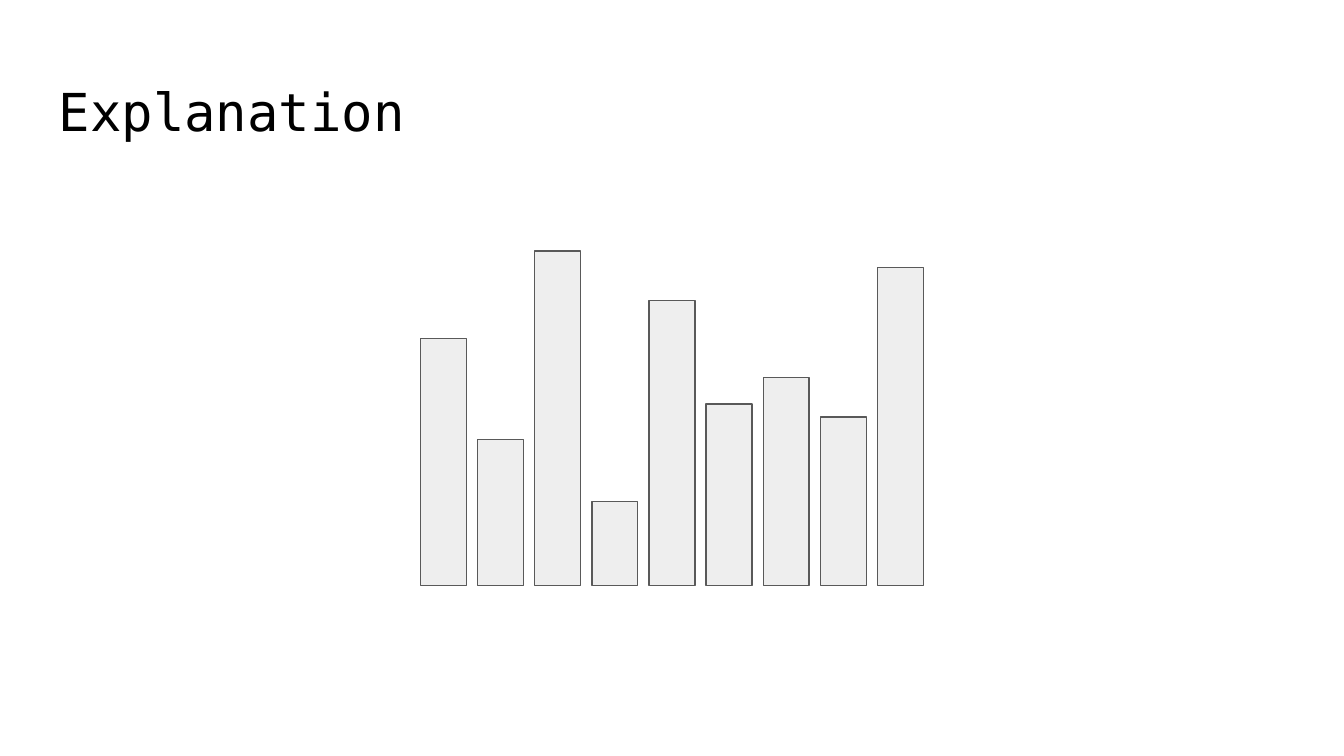
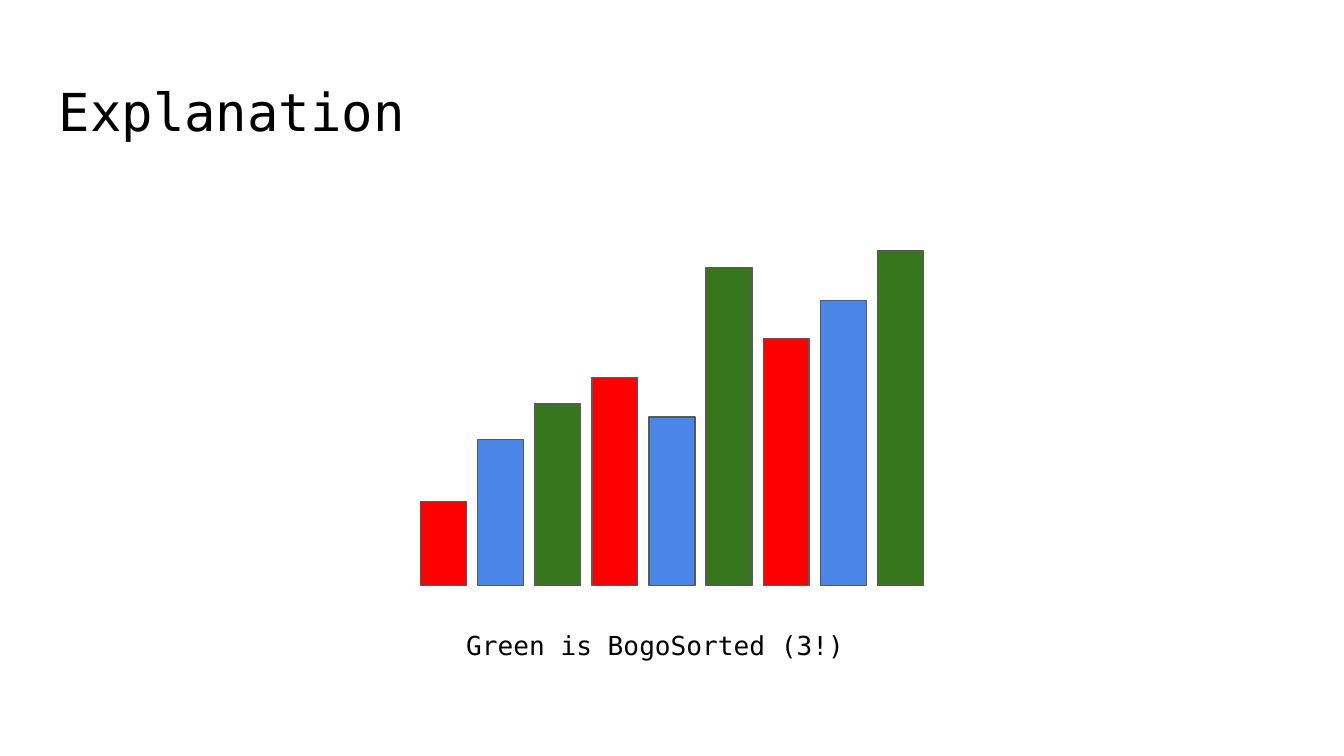
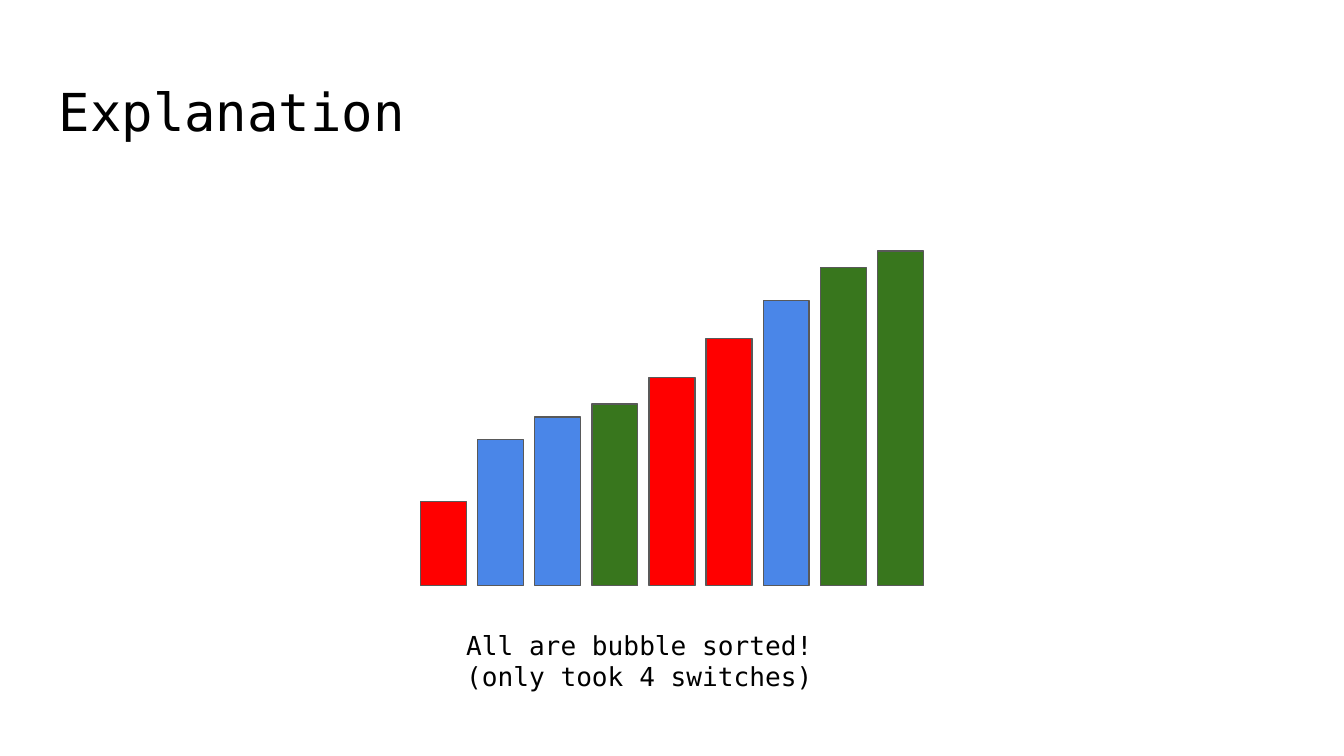
from pptx import Presentation
from pptx.dml.color import RGBColor
from pptx.enum.shapes import MSO_SHAPE
from pptx.enum.text import MSO_ANCHOR
from pptx.util import Pt

FONT = "DejaVu Sans Mono"
COLORS = {
    "text": "000000",
    "outline": "595959",
    "gray": "EEEEEE",
    "red": "FF0000",
    "blue": "4A86E8",
    "green": "38761D",
}

# Bar heights in points, from the shortest to the tallest value
HEIGHTS = [45.2, 78.3, 90.5, 97.4, 111.6, 132.3, 152.9, 170.4, 179.2]
# Group colour of each value once the groups are formed
GROUPS = ["red", "blue", "blue", "green", "red", "red", "blue", "green", "green"]

# Each order lists the rank of the value standing at each position
SLIDES = [
    {"order": [5, 1, 8, 0, 6, 3, 4, 2, 7], "grouped": False, "caption": None},
    {"order": [0, 1, 3, 4, 2, 7, 5, 6, 8], "grouped": True,
     "caption": "Green is BogoSorted (3!)"},
    {"order": [0, 1, 2, 3, 4, 5, 6, 7, 8], "grouped": True,
     "caption": "All are bubble sorted! (only took 4 switches)"},
]

TITLE = "Explanation"
TITLE_BOX = (24.5, 35.3, 671, 45.4)
CAPTION_BOX = (242.6, 329.8, 234, 36)
BARS_LEFT, BARS_BOTTOM = 225.3, 313.8
BAR_WIDTH, BAR_PITCH = 24.6, 30.6


def color(name):
    """Return the named colour."""
    return RGBColor.from_string(COLORS[name])


def add_text(slide, text, box, size):
    """Add a wrapped, top-anchored text box."""
    frame = slide.shapes.add_textbox(*map(Pt, box)).text_frame
    frame.word_wrap = True
    frame.vertical_anchor = MSO_ANCHOR.TOP
    frame.margin_left = frame.margin_right = Pt(7.2)
    frame.margin_top = frame.margin_bottom = Pt(7.2)
    paragraph = frame.paragraphs[0]
    paragraph.text = text
    paragraph.font.name = FONT
    paragraph.font.size = Pt(size)
    paragraph.font.color.rgb = color("text")


def add_bar(slide, position, height, fill):
    """Add one bar standing on the common base line."""
    bar = slide.shapes.add_shape(
        MSO_SHAPE.RECTANGLE,
        Pt(BARS_LEFT + position * BAR_PITCH), Pt(BARS_BOTTOM - height),
        Pt(BAR_WIDTH), Pt(height))
    bar.shadow.inherit = False
    bar.fill.solid()
    bar.fill.fore_color.rgb = color(fill)
    bar.line.color.rgb = color("outline")
    bar.line.width = Pt(0.75)


def build_slide(presentation, content):
    """Add a slide with the title, the bars and any caption."""
    slide = presentation.slides.add_slide(presentation.slide_layouts[6])
    add_text(slide, TITLE, TITLE_BOX, 28)
    for position, rank in enumerate(content["order"]):
        fill = GROUPS[rank] if content["grouped"] else "gray"
        add_bar(slide, position, HEIGHTS[rank], fill)
    if content["caption"]:
        add_text(slide, content["caption"], CAPTION_BOX, 14)


presentation = Presentation()
presentation.slide_width, presentation.slide_height = Pt(720), Pt(405)
for content in SLIDES:
    build_slide(presentation, content)
presentation.save("out.pptx")
